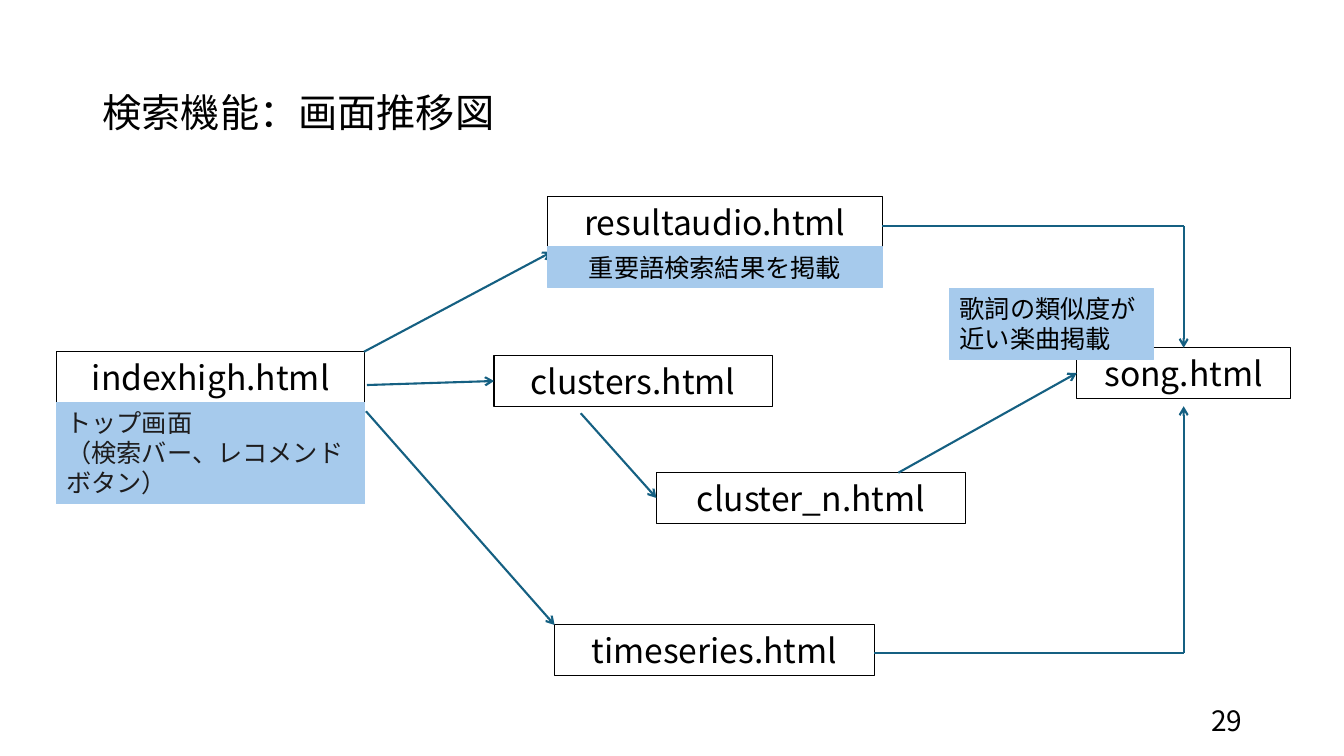
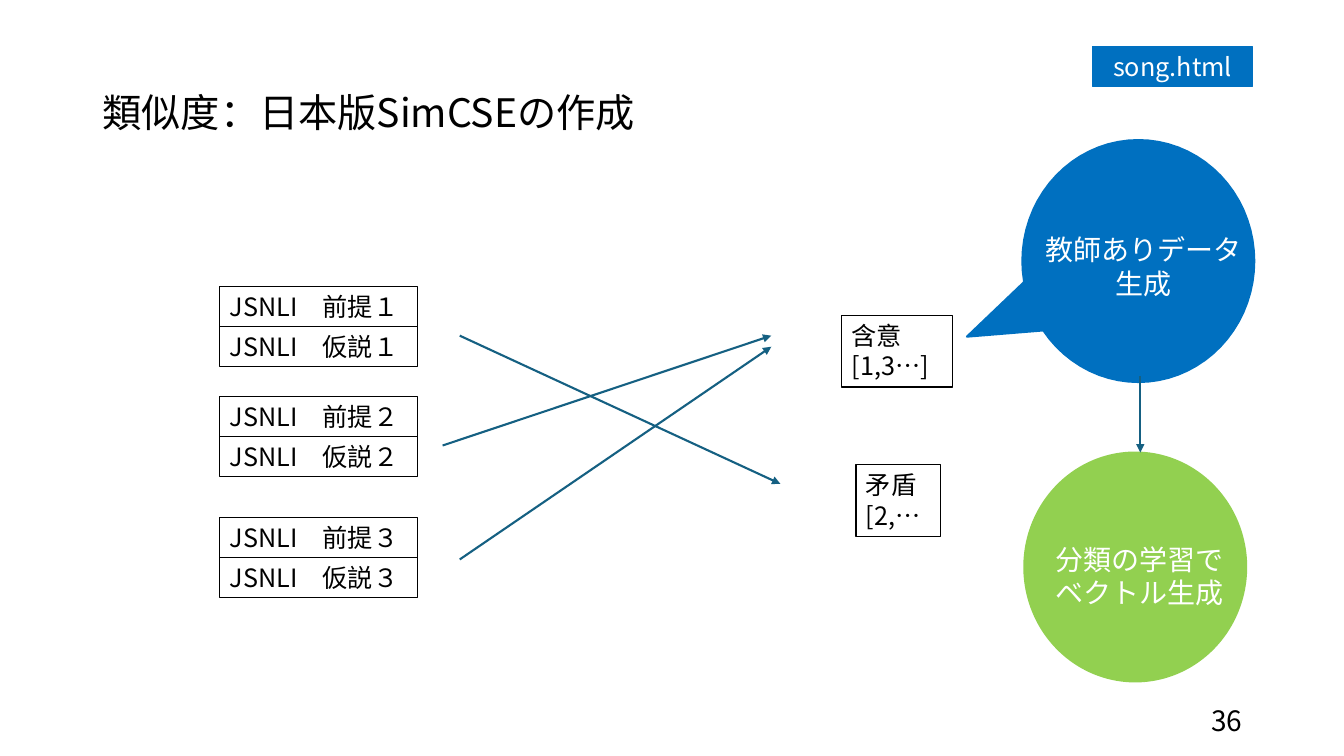
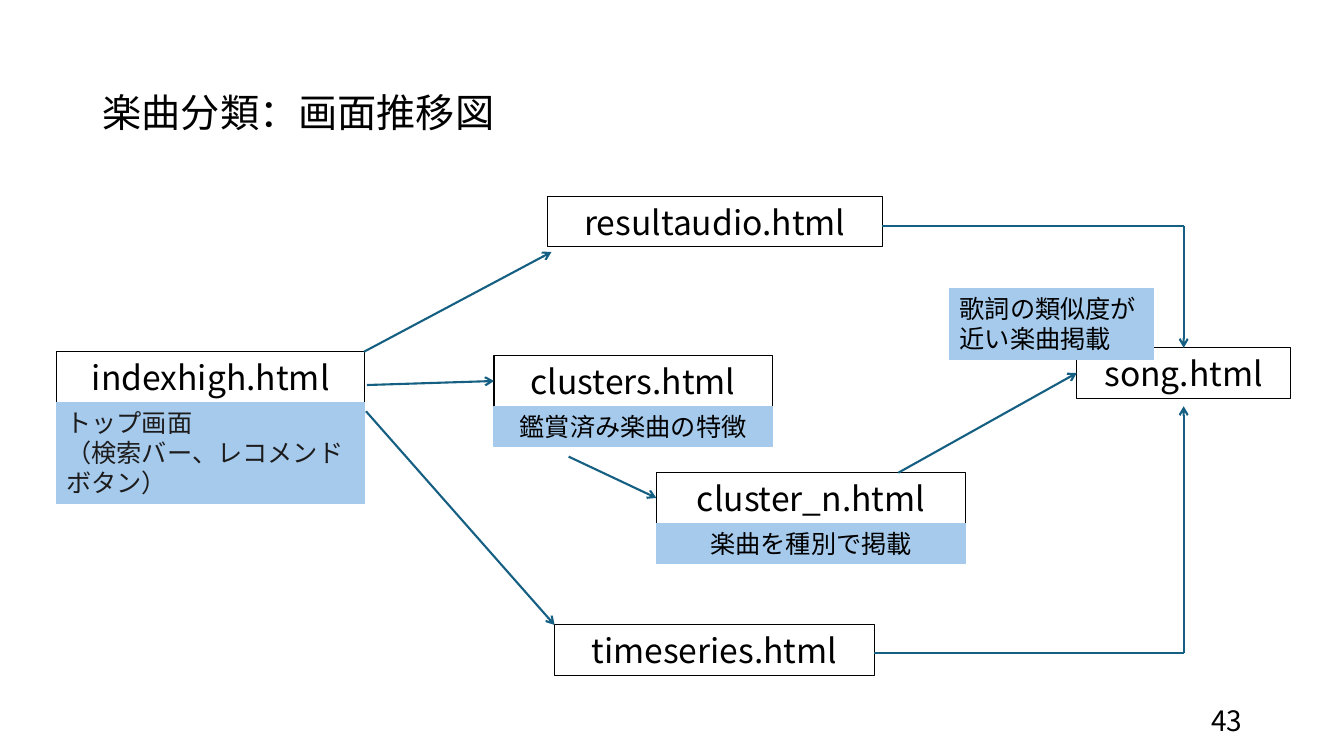
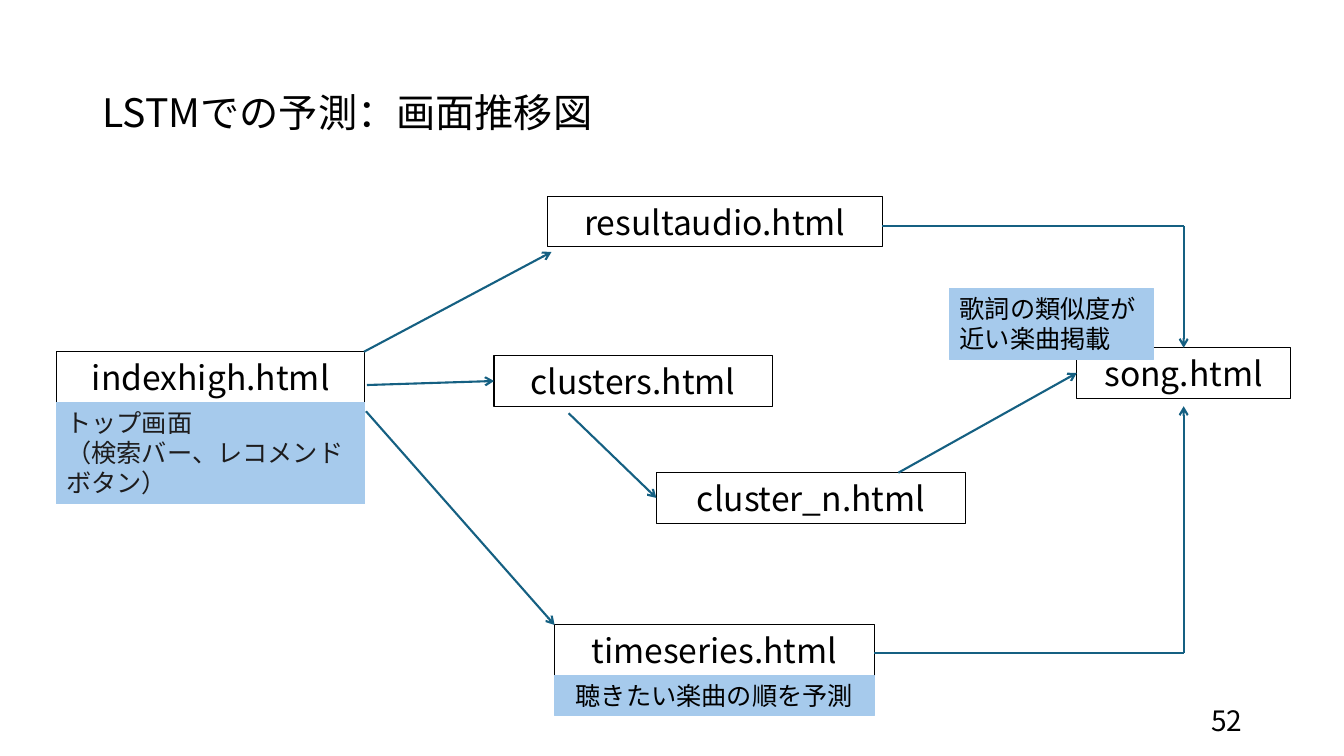
from math import cos, radians, sin

from lxml import etree
from pptx import Presentation
from pptx.dml.color import RGBColor
from pptx.enum.shapes import MSO_CONNECTOR, MSO_SHAPE
from pptx.enum.text import MSO_ANCHOR, MSO_AUTO_SIZE, PP_ALIGN
from pptx.oxml.ns import qn
from pptx.util import Inches, Pt

# Shared style
FONT = "Noto Sans CJK JP"
BLACK = RGBColor(0x00, 0x00, 0x00)
CHARCOAL = RGBColor(0x1D, 0x1C, 0x1D)
WHITE = RGBColor(0xFF, 0xFF, 0xFF)
TEAL = RGBColor(0x15, 0x60, 0x82)
PALE_BLUE = RGBColor(0xA6, 0xCA, 0xEC)
BLUE = RGBColor(0x00, 0x70, 0xC0)
GREEN = RGBColor(0x92, 0xD0, 0x50)
LEFT, CENTER, RIGHT = PP_ALIGN.LEFT, PP_ALIGN.CENTER, PP_ALIGN.RIGHT
TOP, MIDDLE = MSO_ANCHOR.TOP, MSO_ANCHOR.MIDDLE
RECTANGLE, OVAL = MSO_SHAPE.RECTANGLE, MSO_SHAPE.OVAL
STRAIGHT = MSO_CONNECTOR.STRAIGHT
FIT_SHAPE = MSO_AUTO_SIZE.SHAPE_TO_FIT_TEXT
SIDE_TOP, SIDE_LEFT = 0, 1
OPEN_HEAD, SOLID_HEAD = "arrow", "triangle"

# Screen flow: page name -> left, top, width
NODE_HEIGHT = 0.5
NODES = {
    "clusters.html": (4.9, 3.53, 2.76),
    "resultaudio.html": (5.43, 1.95, 3.32),
    "song.html": (10.68, 3.45, 2.12),
    "cluster_n.html": (6.51, 4.69, 3.07),
    "timeseries.html": (5.5, 6.2, 3.17),
    "indexhigh.html": (0.56, 3.49, 3.06),
}
# Start point, end point or (page, side), arrowhead
SONG_X = 11.74
FLOW_ARROWS = [
    ((3.61, 3.49), (5.47, 2.5), OPEN_HEAD),
    ((3.63, 4.08), (5.5, 6.2), OPEN_HEAD),
    ((3.64, 3.82), ("clusters.html", SIDE_LEFT), OPEN_HEAD),
    ((8.67, 6.48), (SONG_X, 6.48), None),
    ((SONG_X, 6.48), (SONG_X, 4.03), OPEN_HEAD),
    ((8.75, 2.24), (SONG_X, 2.24), None),
    ((SONG_X, 2.24), ("song.html", SIDE_TOP), OPEN_HEAD),
    ((8.91, 4.69), ("song.html", SIDE_LEFT), OPEN_HEAD),
]
TOP_PAGE_LINES = ["トップ画面", "（検索バー、レコメンドボタン）"]
SONG_LABEL = "歌詞の類似度が近い楽曲掲載"
SONG_LABEL_AREA = (9.42, 2.86, 2.02, 0.71)

# Title, page number, start of the arrow to cluster_n, captions by page
SEARCH = ("検索機能：画面推移図", 29, (5.76, 4.1),
          {"resultaudio.html": "重要語検索結果を掲載"})
CLASSIFY = ("楽曲分類：画面推移図", 43, (5.64, 4.53),
            {"clusters.html": "鑑賞済み楽曲の特徴", "cluster_n.html": "楽曲を種別で掲載"})
PREDICT = ("LSTMでの予測：画面推移図", 52, (5.64, 4.1),
           {"timeseries.html": "聴きたい楽曲の順を予測"})

# Similarity slide
PAIR_TOPS = {"１": 2.84, "２": 3.93, "３": 5.13}
PAIR_ROWS = ["前提", "仮説"]
ROW_HEIGHT = 0.4
RESULTS = [("含意 [1,3…]", (8.35, 3.13, 1.1, 0.71)),
           ("矛盾[2,…", (8.49, 4.61, 0.84, 0.71))]
SIMILARITY_ARROWS = [
    ((4.56, 3.33), (7.74, 4.8)),
    ((4.39, 4.42), (7.65, 3.33)),
    ((4.56, 5.55), (7.65, 3.44)),
    ((11.31, 3.73), (11.31, 4.49)),
]
BUBBLE_CENTER, BUBBLE_RADII, BUBBLE_TIP = (11.29, 2.59), (1.15, 1.2), (9.59, 3.34)
BUBBLE_ANGLES = range(170, 506, 5)  # the gap is where the tail leaves


def inches(values):
    return [Inches(value) for value in values]


def write(shape, lines, size, color=BLACK, align=LEFT, anchor=TOP, spacing=None):
    frame = shape.text_frame
    frame.text = "\n".join(lines)
    frame.word_wrap = True
    frame.vertical_anchor = anchor
    if anchor == TOP:
        frame.auto_size = FIT_SHAPE
    for para in frame.paragraphs:
        para.alignment = align
        para.line_spacing = spacing
        for span in para.runs:
            span.font.size = Pt(size)
            span.font.name = FONT
            span.font.color.rgb = color
            east_asian = etree.SubElement(span.font._element, qn("a:ea"))
            east_asian.set("typeface", FONT)


def add_text(page, area, lines, size, **style):
    write(page.shapes.add_textbox(*inches(area)), lines, size, **style)


def paint(shape, fill, line, width):
    shape.shadow.inherit = False
    if fill is None:
        shape.fill.background()
    else:
        shape.fill.solid()
        shape.fill.fore_color.rgb = fill
    shape.line.color.rgb = line
    shape.line.width = Pt(width)


def add_box(page, area, lines, size=18, fill=None, line=BLACK, **style):
    box = page.shapes.add_shape(RECTANGLE, *inches(area))
    paint(box, fill, line, 0.75)
    write(box, lines, size, **style)
    return box


def add_caption(page, area, lines, **style):
    add_box(page, area, lines, fill=PALE_BLUE, line=PALE_BLUE, **style)


def add_arrow(page, start, end, head, boxes=None):
    joined = isinstance(end[0], str)
    stop = start if joined else end
    arrow = page.shapes.add_connector(STRAIGHT, *inches(start + stop))
    if joined:
        arrow.end_connect(boxes[end[0]], end[1])
    arrow.line.color.rgb = TEAL
    arrow.line.width = Pt(1.5)
    if head:
        tail_end = etree.SubElement(arrow.line._get_or_add_ln(), qn("a:tailEnd"))
        tail_end.set("type", head)
    etree.SubElement(arrow._element.spPr, qn("a:effectLst"))


def add_page(deck, title, number):
    page = deck.slides.add_slide(deck.slide_layouts[6])
    add_text(page, (0.92, 0.41, 11.5, 1.45), [title], 28, anchor=MIDDLE, spacing=0.9)
    add_text(page, (9.42, 6.95, 3, 0.4), [str(number)], 20, align=RIGHT, anchor=MIDDLE)
    return page


def build_flow(deck, title, number, cluster_start, captions):
    page = add_page(deck, title, number)
    boxes = {name: add_box(page, area + (NODE_HEIGHT,), [name], 24, align=CENTER)
             for name, area in NODES.items()}
    cluster_arrow = (cluster_start, ("cluster_n.html", SIDE_LEFT), OPEN_HEAD)
    for start, end, head in FLOW_ARROWS + [cluster_arrow]:
        add_arrow(page, start, end, head, boxes)
    # Captions sit directly below their page
    left, top, width = NODES["indexhigh.html"]
    add_caption(page, (left, top + NODE_HEIGHT, width, 1.01), TOP_PAGE_LINES, color=CHARCOAL)
    add_caption(page, SONG_LABEL_AREA, [SONG_LABEL])
    for name, caption in captions.items():
        left, top, width = NODES[name]
        add_caption(page, (left, top + NODE_HEIGHT, width, 0.4), [caption], align=CENTER)


def add_bubble(page):
    (x, y), (across, down) = BUBBLE_CENTER, BUBBLE_RADII
    rim = [(Inches(x + across * cos(radians(angle))), Inches(y + down * sin(radians(angle))))
           for angle in BUBBLE_ANGLES]
    outline = page.shapes.build_freeform(*inches(BUBBLE_TIP))
    outline.add_line_segments(rim, close=True)
    paint(outline.convert_to_shape(), BLUE, BLUE, 1.5)


def build_similarity(deck):
    page = add_page(deck, "類似度：日本版SimCSEの作成", 36)
    # Sentence pairs and result lists
    for digit, top in PAIR_TOPS.items():
        for row, word in enumerate(PAIR_ROWS):
            area = (2.18, top + row * ROW_HEIGHT, 1.96, ROW_HEIGHT)
            add_box(page, area, [f"JSNLI　{word}{digit}"])
    for text, area in RESULTS:
        add_box(page, area, [text])
    # Bubble and circle
    add_bubble(page)
    add_text(page, (10.24, 2.26, 2.2, 0.77), ["教師ありデータ生成"], 20,
             color=WHITE, align=CENTER)
    circle = page.shapes.add_shape(OVAL, *inches((10.16, 4.49, 2.2, 2.27)))
    paint(circle, GREEN, GREEN, 1.5)
    add_text(page, (10.25, 5.33, 2.11, 0.77), ["分類の学習で", "ベクトル生成"], 20,
             color=WHITE, align=CENTER)
    for start, end in SIMILARITY_ARROWS:
        add_arrow(page, start, end, SOLID_HEAD)
    add_box(page, (10.84, 0.46, 1.58, 0.4), ["song.html"], fill=BLUE, line=BLUE,
            color=WHITE, align=CENTER)


def main():
    deck = Presentation()
    deck.slide_width, deck.slide_height = inches((13.33, 7.5))
    build_flow(deck, *SEARCH)
    build_similarity(deck)
    build_flow(deck, *CLASSIFY)
    build_flow(deck, *PREDICT)
    deck.save("out.pptx")


if __name__ == "__main__":
    main()
